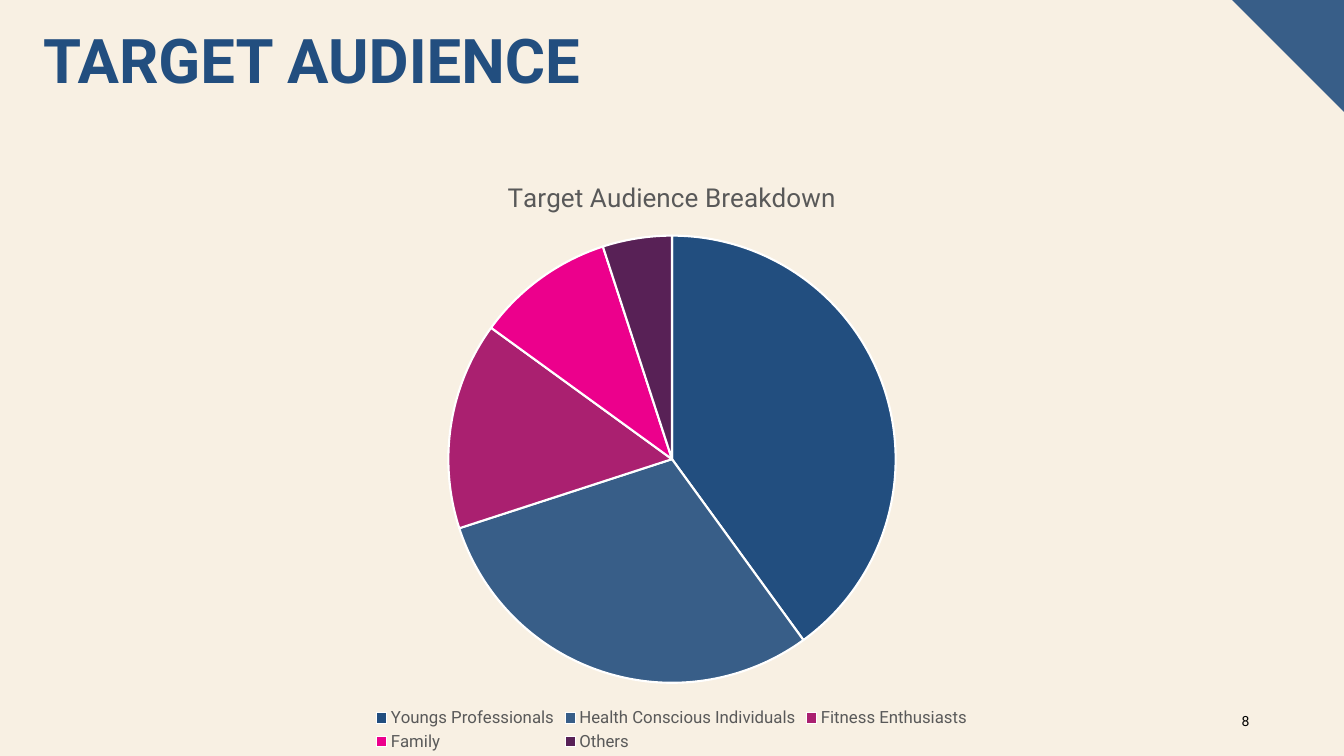
from dataclasses import dataclass

from pptx import Presentation
from pptx.chart.data import CategoryChartData
from pptx.dml.color import RGBColor
from pptx.enum.chart import XL_CHART_TYPE, XL_LEGEND_POSITION
from pptx.enum.text import MSO_ANCHOR, PP_ALIGN
from pptx.util import Inches, Pt

SLIDE_WIDTH, SLIDE_HEIGHT = 13.33, 7.5
CORNER_SIZE = 1.11
CHART_TITLE = "Target Audience Breakdown"
AUDIENCE = {
    "Youngs Professionals": 40,
    "Health Conscious Individuals": 30,
    "Fitness Enthusiasts": 15,
    "Family": 10,
    "Others": 5,
}


@dataclass(frozen=True)
class Theme:
    font: str = "Roboto"
    background: str = "F8F0E3"
    navy: str = "224E7F"
    steel: str = "385E88"
    plum: str = "AA2070"
    pink: str = "EC008C"
    aubergine: str = "582156"
    white: str = "FFFFFF"
    black: str = "000000"
    gray: str = "595959"
    title_size: float = 44
    chart_title_size: float = 18.6
    legend_size: float = 12
    small_size: float = 10

    @property
    def slices(self):
        return self.navy, self.steel, self.plum, self.pink, self.aubergine


def set_fill(fill, color):
    fill.solid()
    fill.fore_color.rgb = RGBColor.from_string(color)


def set_font(font, name, size, color, bold=False):
    font.name = name
    font.size = Pt(size)
    font.bold = bold
    font.color.rgb = RGBColor.from_string(color)


def write_text(text_frame, text, *, font, size, color, bold=False,
               align=PP_ALIGN.LEFT, spacing=None):
    paragraph = text_frame.paragraphs[0]
    paragraph.alignment = align
    paragraph.line_spacing = spacing
    run = paragraph.add_run()
    run.text = text
    set_font(run.font, font, size, color, bold)


class SlideBuilder:
    def __init__(self, slide, theme):
        self.slide = slide
        self.theme = theme
        set_fill(slide.background.fill, theme.background)

    def add_corner(self, size):
        """Fill the top right corner with a right triangle."""
        left, right = Inches(SLIDE_WIDTH - size), Inches(SLIDE_WIDTH)
        builder = self.slide.shapes.build_freeform(left, 0)
        builder.add_line_segments([(right, 0), (right, Inches(size))], close=True)
        shape = builder.convert_to_shape()
        shape.shadow.inherit = False
        set_fill(shape.fill, self.theme.steel)
        shape.line.fill.background()

    def add_text(self, text, box, anchor=MSO_ANCHOR.TOP, **text_format):
        shape = self.slide.shapes.add_textbox(*map(Inches, box))
        text_frame = shape.text_frame
        text_frame.word_wrap = True
        text_frame.vertical_anchor = anchor
        write_text(text_frame, text, font=self.theme.font, **text_format)

    def add_pie(self, title, values, box):
        theme = self.theme
        data = CategoryChartData()
        data.categories = list(values)
        data.add_series(title, list(values.values()))
        chart = self.slide.shapes.add_chart(
            XL_CHART_TYPE.PIE, *map(Inches, box), data).chart
        set_font(chart.font, theme.font, theme.small_size, theme.black)

        chart.has_title = True
        write_text(chart.chart_title.text_frame, title, font=theme.font,
                   size=theme.chart_title_size, color=theme.gray,
                   align=PP_ALIGN.CENTER)
        chart.chart_title.include_in_layout = False

        chart.has_legend = True
        chart.legend.position = XL_LEGEND_POSITION.BOTTOM
        chart.legend.include_in_layout = False
        set_font(chart.legend.font, theme.font, theme.legend_size, theme.gray)

        plot = chart.plots[0]
        plot.vary_by_categories = True
        for index, color in enumerate(theme.slices):
            point_format = plot.series[0].points[index].format
            set_fill(point_format.fill, color)
            set_fill(point_format.line.fill, theme.white)
            point_format.line.width = Pt(1.5)


def main():
    presentation = Presentation()
    presentation.slide_width = Inches(SLIDE_WIDTH)
    presentation.slide_height = Inches(SLIDE_HEIGHT)
    theme = Theme()
    builder = SlideBuilder(
        presentation.slides.add_slide(presentation.slide_layouts[6]), theme)

    builder.add_corner(CORNER_SIZE)
    builder.add_text("TARGET AUDIENCE", (0.33, 0.25, 11.66, 1.45),
                     size=theme.title_size, color=theme.navy, bold=True,
                     spacing=0.9)
    builder.add_text("8", (11.99, 6.95, 0.5, 0.4), anchor=MSO_ANCHOR.MIDDLE,
                     size=theme.small_size, color=theme.black,
                     align=PP_ALIGN.RIGHT)
    builder.add_pie(CHART_TITLE, AUDIENCE, (2.22, 1.57, 8.89, 5.93))
    presentation.save("out.pptx")


if __name__ == "__main__":
    main()
